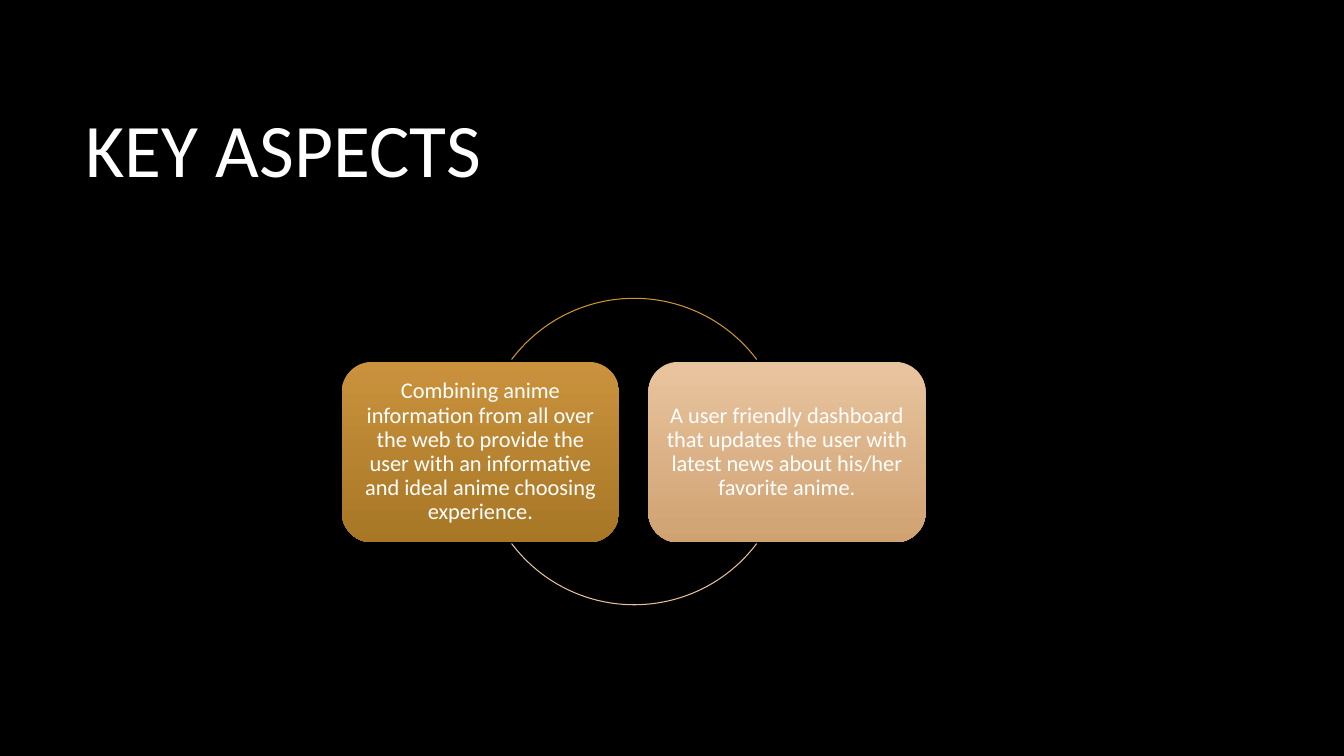
"""Build the key aspects slide: two linked cards on a ring."""
from dataclasses import dataclass

from pptx import Presentation
from pptx.dml.color import RGBColor
from pptx.enum.shapes import MSO_SHAPE as Preset
from pptx.enum.text import MSO_ANCHOR as Anchor, PP_ALIGN as Align
from pptx.slide import Slide
from pptx.text.text import TextFrame
from pptx.util import Inches, Pt

FONT = "Calibri"
WHITE = "FFFFFF"
CARD_LEFT, CARD_TOP, CARD_WIDTH, CARD_HEIGHT = 3.39, 3.59, 2.75, 1.79
CARD_STEP = 3.04
RING_LEFT, RING_TOP, RING_SIZE = 4.77, 2.96, 3.04


@dataclass
class Card:
    text: str
    top_color: str
    bottom_color: str


@dataclass
class Arc:
    start: float
    end: float
    color: str


CARDS = [
    Card("Combining anime information from all over the web to provide the user "
         "with an informative and ideal anime choosing experience.", "CA923D", "A77725"),
    Card("A user friendly dashboard that updates the user with latest news about "
         "his/her favorite anime.", "E8C49E", "D0A272"),
]
ARCS = [Arc(216.9, 323.1, "D3962F"), Arc(36.9, 143.1, "E8C29A")]


def rgb(color: str) -> RGBColor:
    """Turn a hex string into a colour."""
    return RGBColor.from_string(color)


def write(frame: TextFrame, text: str, size: float) -> None:
    """Set white text, centred vertically and wrapped."""
    frame.text = text
    frame.word_wrap = True
    frame.vertical_anchor = Anchor.MIDDLE
    font = frame.paragraphs[0].runs[0].font
    font.name = FONT
    font.size = Pt(size)
    font.color.rgb = rgb(WHITE)


def add_title(page: Slide, text: str) -> None:
    """Add the slide heading."""
    box = page.shapes.add_textbox(Inches(0.75), Inches(0.67), Inches(11.08), Inches(1.59))
    write(box.text_frame, text, 54)


def add_card(page: Slide, card: Card, index: int) -> None:
    """Add a rounded gradient card in its column."""
    shape = page.shapes.add_shape(
        Preset.ROUNDED_RECTANGLE, Inches(CARD_LEFT + index * CARD_STEP),
        Inches(CARD_TOP), Inches(CARD_WIDTH), Inches(CARD_HEIGHT))
    shape.shadow.inherit = False
    shape.line.fill.background()
    shape.fill.gradient()
    shape.fill.gradient_angle = 270
    for stop, color in zip(shape.fill.gradient_stops, (card.top_color, card.bottom_color)):
        stop.color.rgb = rgb(color)
    frame = shape.text_frame
    write(frame, card.text, 16)
    frame.margin_left = frame.margin_right = Inches(0.07)
    frame.margin_top = frame.margin_bottom = Inches(0.07)
    para = frame.paragraphs[0]
    para.alignment = Align.CENTER
    para.line_spacing = 0.9


def add_arc(page: Slide, arc: Arc) -> None:
    """Add one part of the ring, with angles in degrees clockwise from the right."""
    shape = page.shapes.add_shape(
        Preset.ARC, Inches(RING_LEFT), Inches(RING_TOP), Inches(RING_SIZE), Inches(RING_SIZE))
    shape.shadow.inherit = False
    shape.fill.background()
    shape.line.color.rgb = rgb(arc.color)
    shape.line.width = Pt(0.75)
    for position, angle in enumerate((arc.start, arc.end)):
        shape.adjustments[position] = angle * 0.6


def main() -> None:
    """Build and save the deck."""
    deck = Presentation()
    deck.slide_width, deck.slide_height = Inches(13.33), Inches(7.5)
    page = deck.slides.add_slide(deck.slide_layouts[6])
    page.background.fill.solid()
    page.background.fill.fore_color.rgb = rgb("000000")
    add_title(page, "KEY ASPECTS")
    for index, (card, arc) in enumerate(zip(CARDS, ARCS)):
        add_card(page, card, index)
        add_arc(page, arc)
    deck.save("out.pptx")


if __name__ == "__main__":
    main()
